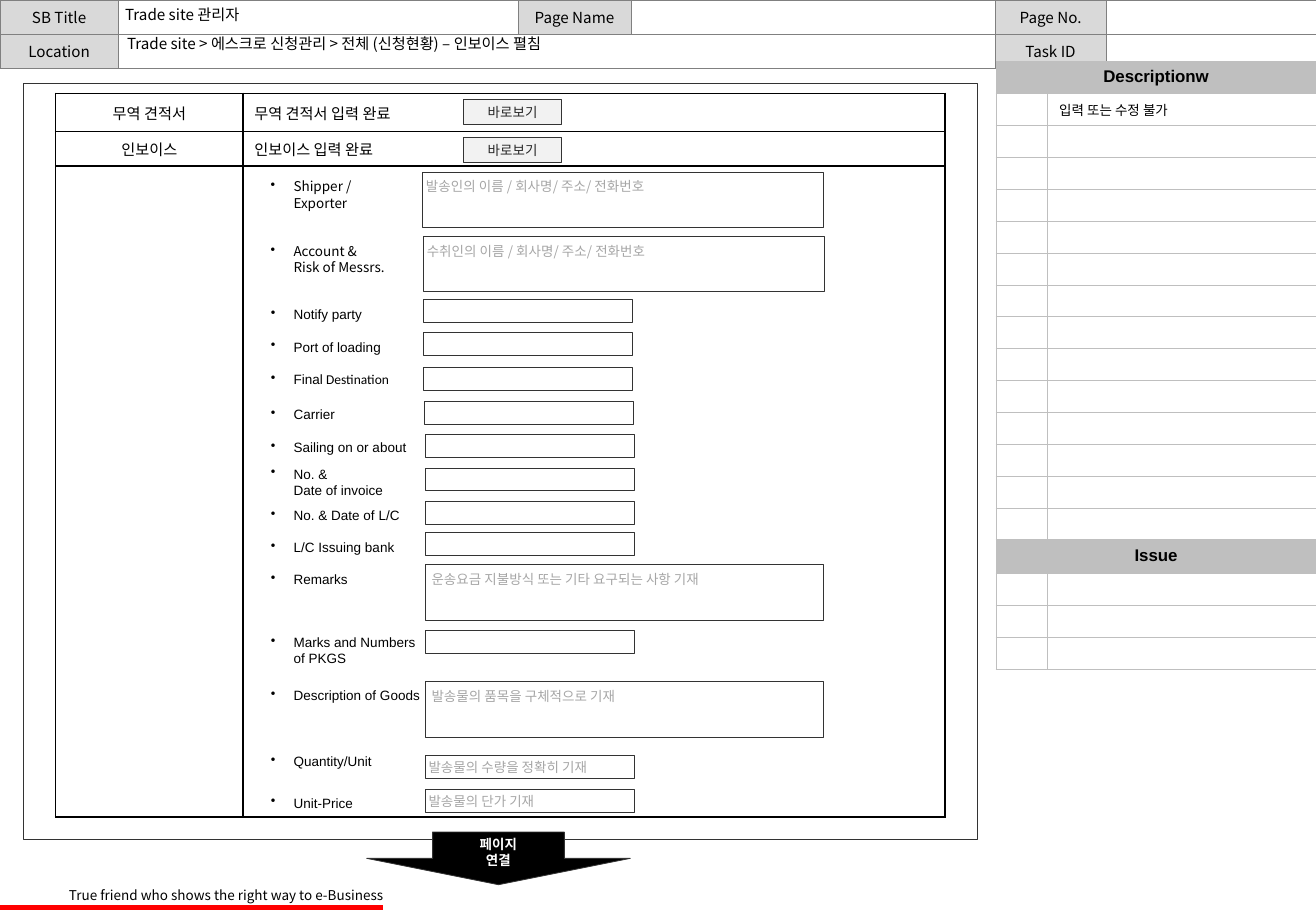
"""Draw the storyboard slide for the invoice section of an escrow request."""
import copy
from dataclasses import dataclass
from typing import Optional

import lxml.etree
import pptx
import pptx.dml.color
import pptx.enum.shapes
import pptx.enum.text
import pptx.oxml.ns
import pptx.shapes.autoshape
import pptx.table
import pptx.text.text
import pptx.util

Pt = pptx.util.Pt
RGBColor = pptx.dml.color.RGBColor
Shape = pptx.enum.shapes.MSO_SHAPE
Align = pptx.enum.text.PP_ALIGN
Anchor = pptx.enum.text.MSO_ANCHOR
qn = pptx.oxml.ns.qn

BLACK = RGBColor(0x00, 0x00, 0x00)
WHITE = RGBColor(0xFF, 0xFF, 0xFF)
RED = RGBColor(0xFF, 0x00, 0x00)
OUTLINE = RGBColor(0x33, 0x33, 0x33)
BUTTON_FILL = RGBColor(0xF2, 0xF2, 0xF2)
BUTTON_TEXT = RGBColor(0x26, 0x26, 0x26)
HINT = RGBColor(0xA6, 0xA6, 0xA6)
HEADER_FILL = RGBColor(0xD9, 0xD9, 0xD9)
HEADER_LINE = RGBColor(0x80, 0x80, 0x80)
SIDE = RGBColor(0xBF, 0xBF, 0xBF)
NOTO, ARIAL, CALIBRI = "Noto Sans CJK KR", "Arial", "Calibri"
TIGHT = Pt(9.6)
LABEL_LEFT, LABEL_INDENT = 153.4, 13.5


@dataclass
class Field:
    label: str
    label_top: float
    box_left: float
    box_top: float
    box_width: float = 124
    box_height: float = 13.6
    hint: str = ""
    hint_inset: float = 2
    hint_anchor: Anchor = Anchor.TOP
    font: str = ARIAL
    label_width: float = 106
    tail: str = ""


@dataclass
class Entry:
    row: int
    col: int
    text: str
    size: float
    font: str
    centred: bool = True
    bold: bool = False
    fill: Optional[RGBColor] = None
    anchor: Anchor = Anchor.TOP
    inset: float = 7.2


FIELDS = [
    Field("Shipper / Exporter", 102.2, 250.5, 102.2, 237.6, 32.6,
          "발송인의 이름 / 회사명/ 주소/ 전화번호", font=NOTO, label_width=83.5),
    Field("Account & \vRisk of Messrs.", 140.4, 251, 140.4, 237.6, 32.6,
          "수취인의 이름 / 회사명/ 주소/ 전화번호", font=NOTO, label_width=83.5),
    Field("Notify party", 177.8, 251, 177.6),
    Field("Port of loading", 197.2, 251, 196.9),
    Field("Final", 216.4, 251, 217.8, tail=" Destination"),
    Field("Carrier", 237.4, 251.4, 238),
    Field("Sailing on or about", 256.6, 252, 257.4),
    Field("No. & \vDate of invoice", 272.4, 252, 277.4),
    Field("No. & Date of L/C", 297.2, 252, 297.1),
    Field("L/C Issuing bank", 316.2, 252, 315.5),
    Field("Remarks", 334.9, 252, 334.8, 236.2, 33.1,
          "운송요금 지불방식 또는 기타 요구되는 사항 기재", 3.8),
    Field("Marks and Numbers of PKGS", 372.4, 252, 373.7),
    Field("Description of Goods", 403.9, 252, 404, 236.2, 33.1,
          "발송물의 품목을 구체적으로 기재", 3.8),
    Field("Quantity/Unit", 442.9, 252, 447.7, hint="발송물의 수량을 정확히 기재",
          hint_anchor=Anchor.MIDDLE),
    Field("Unit-Price", 467.5, 252, 467.8, hint="발송물의 단가 기재",
          hint_anchor=Anchor.MIDDLE),
]

HEADER = [Entry(row, col, text, 9, NOTO, fill=HEADER_FILL) for row, col, text in (
    (0, 0, "SB Title"), (0, 2, "Page Name"), (0, 4, "Page No."),
    (1, 0, "Location"), (1, 4, "Task ID"))]
NOTES = [
    Entry(0, 0, "Descriptionw", 10, ARIAL, bold=True, fill=SIDE),
    Entry(1, 1, "입력 또는 수정 불가", 8, ARIAL, centred=False, anchor=Anchor.MIDDLE),
    Entry(15, 0, "Issue", 10, ARIAL, bold=True, fill=SIDE),
]
STEPS = [entry for row, name in enumerate(("무역 견적서", "인보이스")) for entry in (
    Entry(row, 0, name, 9, CALIBRI, fill=WHITE, anchor=Anchor.MIDDLE, inset=0.7),
    Entry(row, 1, f"{name} 입력 완료", 9, NOTO, centred=False, fill=WHITE,
          anchor=Anchor.MIDDLE, inset=6.8))]


def write(tf: pptx.text.text.TextFrame, text: str, *, size: float = 8, font: str = NOTO,
          color: RGBColor = BLACK, bold: bool = False, align: Align = Align.LEFT,
          spacing: Optional[float] = None, bullet: bool = False, tail: str = "") -> None:
    """Fill a text frame, one paragraph a line, with an optional Calibri tail."""
    for i, line in enumerate(text.split("\n")):
        p = tf.paragraphs[0] if i == 0 else tf.add_paragraph()
        p.text = line
        p.alignment = align
        if spacing:
            p.line_spacing = spacing
        if bullet:
            pPr = p._p.get_or_add_pPr()
            pPr.set("marL", str(Pt(LABEL_INDENT)))
            pPr.set("indent", str(-Pt(LABEL_INDENT)))
            lxml.etree.SubElement(pPr, qn("a:buChar")).set("char", "•")
        if tail:
            p.add_run().text = tail
        for r in p.runs:
            r.font.size, r.font.bold = Pt(size), bold
            r.font.color.rgb = color
            r.font.name = CALIBRI if tail and r.text == tail else font
            rPr = r._r.get_or_add_rPr()
            lxml.etree.SubElement(rPr, qn("a:ea")).set("typeface", NOTO)
            for br in p._p.findall(qn("a:br")):
                if len(br) == 0:
                    br.append(copy.deepcopy(rPr))
        if not p.runs:
            end = lxml.etree.SubElement(p._p, qn("a:endParaRPr"))
            end.set("sz", str(int(size * 100)))


def add_grid(s: pptx.slide.Slide, left: float, top: float, cols: list[float],
             rows: list[float], line: RGBColor, weight: float, entries: list[Entry],
             merges: list[tuple[int, int, int]], fill: Optional[RGBColor] = None) -> None:
    """Add a ruled table; each merge is a row with its first and last column."""
    tbl = s.shapes.add_table(len(rows), len(cols), Pt(left), Pt(top),
                             Pt(sum(cols)), Pt(sum(rows))).table
    tbl.first_row = tbl.horz_banding = False
    for col, width in zip(tbl.columns, cols):
        col.width = Pt(width)
    for row, height in zip(tbl.rows, rows):
        row.height = Pt(height)
    placed = {(e.row, e.col): e for e in entries}
    for i in range(len(rows)):
        for j in range(len(cols)):
            e = placed.get((i, j), Entry(i, j, "", 8, ARIAL, fill=fill))
            cell = tbl.cell(i, j)
            cell.vertical_anchor = e.anchor
            cell.margin_left, cell.margin_right = Pt(e.inset), Pt(min(e.inset, 0.7))
            if e.centred:
                cell.margin_right = Pt(e.inset)
            if e.inset != 7.2:
                cell.margin_top, cell.margin_bottom = Pt(0.7), 0
            write(cell.text_frame, e.text, size=e.size, font=e.font, bold=e.bold,
                  align=Align.CENTER if e.centred else Align.LEFT)
            for side in ("L", "R", "T", "B"):
                ln = lxml.etree.SubElement(cell._tc.get_or_add_tcPr(), qn(f"a:ln{side}"))
                ln.set("w", str(Pt(weight)))
                solid = lxml.etree.SubElement(ln, qn("a:solidFill"))
                lxml.etree.SubElement(solid, qn("a:srgbClr")).set("val", str(line))
            if e.fill is None:
                cell.fill.background()
            else:
                cell.fill.solid()
                cell.fill.fore_color.rgb = e.fill
    for row, first, last in merges:
        tbl.cell(row, first).merge(tbl.cell(row, last))


def add_box(s: pptx.slide.Slide, left: float, top: float, width: float, height: float,
            fill: Optional[RGBColor] = None, kind: Shape = Shape.RECTANGLE,
            anchor: Anchor = Anchor.MIDDLE, inset: float = 0) -> pptx.shapes.autoshape.Shape:
    """Add a thinly outlined shape."""
    sp = s.shapes.add_shape(kind, Pt(left), Pt(top), Pt(width), Pt(height))
    sp.shadow.inherit = False
    if fill is None:
        sp.fill.background()
    else:
        sp.fill.solid()
        sp.fill.fore_color.rgb = fill
    sp.line.color.rgb, sp.line.width = OUTLINE, Pt(0.5)
    tf = sp.text_frame
    tf.vertical_anchor = anchor
    tf.margin_left, tf.margin_right = Pt(inset), 0
    return sp


def add_text(s: pptx.slide.Slide, left: float, top: float, width: float, height: float,
             wrap: bool = True, inset: Optional[float] = None) -> pptx.text.text.TextFrame:
    """Add a text box; a given inset applies on all sides and centres vertically."""
    tf = s.shapes.add_textbox(Pt(left), Pt(top), Pt(width), Pt(height)).text_frame
    tf.word_wrap = wrap
    if inset is not None:
        tf.margin_left = tf.margin_right = tf.margin_top = tf.margin_bottom = Pt(inset)
        tf.vertical_anchor = Anchor.MIDDLE
    return tf


def main() -> None:
    """Build the slide and save it."""
    prs = pptx.Presentation()
    prs.slide_width, prs.slide_height = Pt(780), Pt(540)
    s = prs.slides.add_slide(prs.slide_layouts[6])

    add_grid(s, 0, 0, [70, 237, 67, 216, 65.5, 124.5], [20.2] * 2,
             HEADER_LINE, 0.25, HEADER, [(1, 1, 3)])
    rule = s.shapes.add_connector(pptx.enum.shapes.MSO_CONNECTOR.STRAIGHT,
                                  0, Pt(537.8), Pt(226.8), Pt(537.8))
    rule.line.color.rgb, rule.line.width = RED, Pt(3)
    lxml.etree.SubElement(rule._element.spPr, qn("a:effectLst"))
    write(add_text(s, 33.8, 522, 207.4, 17.3, wrap=False),
          "True friend who shows the right way to e-Business", spacing=TIGHT)
    write(add_text(s, 71.3, 0.5, 234, 17.3, inset=2.9), "Trade site 관리자", size=9, spacing=0.9)
    write(add_text(s, 72.4, 17.8, 326, 17.3, inset=2.9),
          "Trade site > 에스크로 신청관리 > 전체 (신청현황) – 인보이스 펼침", size=9, spacing=0.9)

    add_box(s, 13.8, 49.5, 565.5, 448, WHITE)
    add_grid(s, 590.4, 36.4, [30.2, 159.4], [18.9] * 15 + [19.9] + [18.9] * 3,
             SIDE, 0.5, NOTES, [(0, 0, 1), (15, 0, 1)])
    add_grid(s, 33, 55.4, [111, 416.2], [22.5, 20.5, 386], BLACK, 1, STEPS, [], WHITE)
    for top in (59.2, 81.7):
        write(add_box(s, 274.7, top, 58.3, 14.5, BUTTON_FILL).text_frame, "바로보기",
              color=BUTTON_TEXT, align=Align.CENTER, spacing=TIGHT)

    for f in FIELDS:
        sp = add_box(s, f.box_left, f.box_top, f.box_width, f.box_height,
                     anchor=f.hint_anchor, inset=f.hint_inset)
        if f.hint:
            write(sp.text_frame, f.hint, color=HINT, spacing=TIGHT)
        write(add_text(s, LABEL_LEFT, f.label_top, f.label_width, 17.3), f.label,
              font=f.font, spacing=TIGHT, bullet=True, tail=f.tail)

    arrow = add_box(s, 217.4, 493.2, 156.2, 31.2, BLACK, Shape.DOWN_ARROW)
    write(arrow.text_frame, "페이지\n연결", color=WHITE, bold=True,
          align=Align.CENTER, spacing=TIGHT)
    prs.save("out.pptx")


if __name__ == "__main__":
    main()
